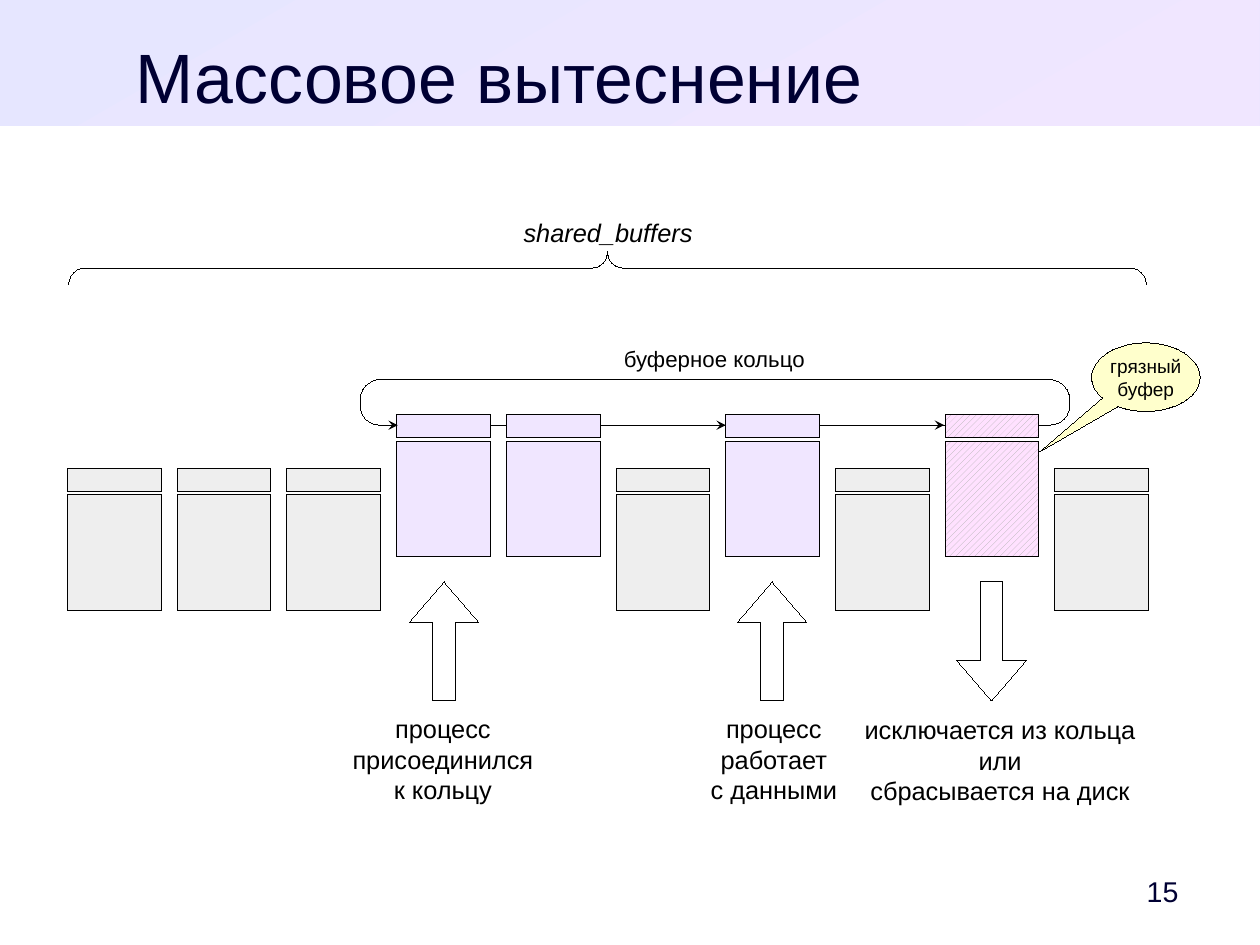
from lxml.etree import SubElement
from pptx import Presentation
from pptx.dml.color import RGBColor
from pptx.enum.dml import MSO_PATTERN
from pptx.enum.shapes import MSO_CONNECTOR, MSO_SHAPE
from pptx.enum.text import MSO_ANCHOR, PP_ALIGN
from pptx.oxml.ns import qn
from pptx.util import Emu, Inches, Pt

COLORS = dict(
    ink="000000", heading="000033", white="FFFFFF", buffer="EEEEEE", ring="F0E6FF",
    dirty="FFE1FF", hatch="B2B2B2", note="FFFFCC", band_start="E6E6FF", band_end="F0E6FF",
)
THEME = dict(
    font="Arial",
    color={name: RGBColor.from_string(value) for name, value in COLORS.items()},
    size=dict(title=44, number=18, label=16, ring=14, note=12),
    hairline=Emu(1),
)
COLOR = THEME["color"]

# Slide of 28 by 21 centimetres
presentation = Presentation()
presentation.slide_width = Inches(28 / 2.54)
presentation.slide_height = Inches(21 / 2.54)
slide = presentation.slides.add_slide(presentation.slide_layouts[6])


def add_shape(kind, left, top, width, height, fill=None, adjustments=()):
    shape = slide.shapes.add_shape(kind, Inches(left), Inches(top), Inches(width), Inches(height))
    shape.shadow.inherit = False
    for index, value in enumerate(adjustments):
        shape.adjustments[index] = value
    if fill == "dirty":
        shape.fill.patterned()
        shape.fill.pattern = MSO_PATTERN.WIDE_UPWARD_DIAGONAL
        shape.fill.fore_color.rgb = COLOR["hatch"]
        shape.fill.back_color.rgb = COLOR["dirty"]
    elif fill:
        shape.fill.solid()
        shape.fill.fore_color.rgb = COLOR[fill]
    else:
        shape.fill.background()
    shape.line.color.rgb = COLOR["ink"]
    shape.line.width = THEME["hairline"]
    return shape


def write_text(shape, lines, size, color="ink", align=PP_ALIGN.CENTER,
               margins=(0, 0, 0, 0), anchor=MSO_ANCHOR.TOP, wrap=True, italic=False):
    frame = shape.text_frame
    sides = ("margin_left", "margin_top", "margin_right", "margin_bottom")
    frame_format = dict(zip(sides, map(Inches, margins)), word_wrap=wrap, vertical_anchor=anchor)
    for name, value in frame_format.items():
        setattr(frame, name, value)
    font_format = dict(name=THEME["font"], size=Pt(THEME["size"][size]), italic=italic)
    for index, line in enumerate(lines):
        paragraph = frame.paragraphs[0] if index == 0 else frame.add_paragraph()
        paragraph.alignment = align
        run = paragraph.add_run()
        run.text = line
        for name, value in font_format.items():
            setattr(run.font, name, value)
        run.font.color.rgb = COLOR[color]


# Title band
band = add_shape(MSO_SHAPE.RECTANGLE, 0, 0, 11.02, 1.1)
band.line.fill.background()
band.fill.gradient()
band.fill.gradient_angle = 300
for stop, name, position in zip(band.fill.gradient_stops, ("band_start", "band_end"), (0, 1)):
    stop.color.rgb = COLOR[name]
    stop.position = position

# Buffer ring, behind the buffers
add_shape(MSO_SHAPE.ROUNDED_RECTANGLE, 3.15, 3.32, 6.21, 0.4, "white", [0.44])

# Buffers: those in the ring are raised
BUFFER_LEFT, BUFFER_PITCH, BUFFER_WIDTH, RAISE = 0.59, 0.96, 0.82, 0.47
buffers = ["buffer"] * 3 + ["ring"] * 2 + ["buffer", "ring", "buffer", "dirty", "buffer"]
for index, fill in enumerate(buffers):
    left = BUFFER_LEFT + index * BUFFER_PITCH
    lift = 0 if fill == "buffer" else RAISE
    for top, height in ((4.33, 1.01), (4.1, 0.2)):
        add_shape(MSO_SHAPE.RECTANGLE, left, top - lift, BUFFER_WIDTH, height, fill)

# Brace over all buffers
brace = add_shape(MSO_SHAPE.LEFT_BRACE, 5.17, -2.37, 0.29, 9.43, adjustments=[0.47, 0.5])
brace.rotation = 90

# Arrows along the ring
for start, end in ((5.25, 6.35), (7.17, 8.26), (3.35, 3.48)):
    connector = slide.shapes.add_connector(
        MSO_CONNECTOR.STRAIGHT, Inches(start), Inches(3.72), Inches(end), Inches(3.72))
    connector.line.color.rgb = COLOR["ink"]
    connector.line.width = THEME["hairline"]
    SubElement(connector.line._get_or_add_ln(), qn("a:tailEnd"), type="stealth")
    SubElement(connector._element.spPr, qn("a:effectLst"))

# Block arrows
for kind, left in ((MSO_SHAPE.UP_ARROW, 3.58), (MSO_SHAPE.UP_ARROW, 6.45),
                   (MSO_SHAPE.DOWN_ARROW, 8.37)):
    add_shape(kind, left, 5.09, 0.61, 1.04, "white", [0.32, 0.58])

# Texts
padding = (0.1, 0.05, 0.1, 0.05)
texts = [
    ((0.47, 0.29, 7.8, 0.69), ["Массовое вытеснение"], dict(size="title", color="heading")),
    ((9.69, 7.56, 0.87, 0.47), ["15"],
     dict(size="number", color="heading", align=PP_ALIGN.RIGHT, anchor=MSO_ANCHOR.MIDDLE,
          margins=(0.1, 0.05, 0.25, 0.05))),
    ((4.47, 1.85, 1.7, 0.35), ["shared_buffers"],
     dict(size="label", italic=True, margins=padding)),
    ((3.28, 3.02, 5.94, 0.23), ["буферное кольцо"], dict(size="ring")),
    ((2.98, 6.24, 1.79, 0.83), ["процесс", "присоединился", "к кольцу"], dict(size="label")),
    ((5.98, 6.24, 1.58, 0.96), ["процесс", "работает", "с данными"], dict(size="label")),
    ((7.21, 6.25, 3.08, 1.05), ["исключается из кольца", "или", "сбрасывается на диск"],
     dict(size="label")),
]
for box, lines, text_format in texts:
    write_text(slide.shapes.add_textbox(*map(Inches, box)), lines, **text_format)

# Dirty buffer callout
callout = add_shape(MSO_SHAPE.OVAL_CALLOUT, 9.55, 3, 0.95, 0.6, "note", [-0.98, 1.09])
write_text(callout, ["грязный", "буфер"], "note", margins=padding,
           anchor=MSO_ANCHOR.MIDDLE, wrap=False)

presentation.save("out.pptx")
